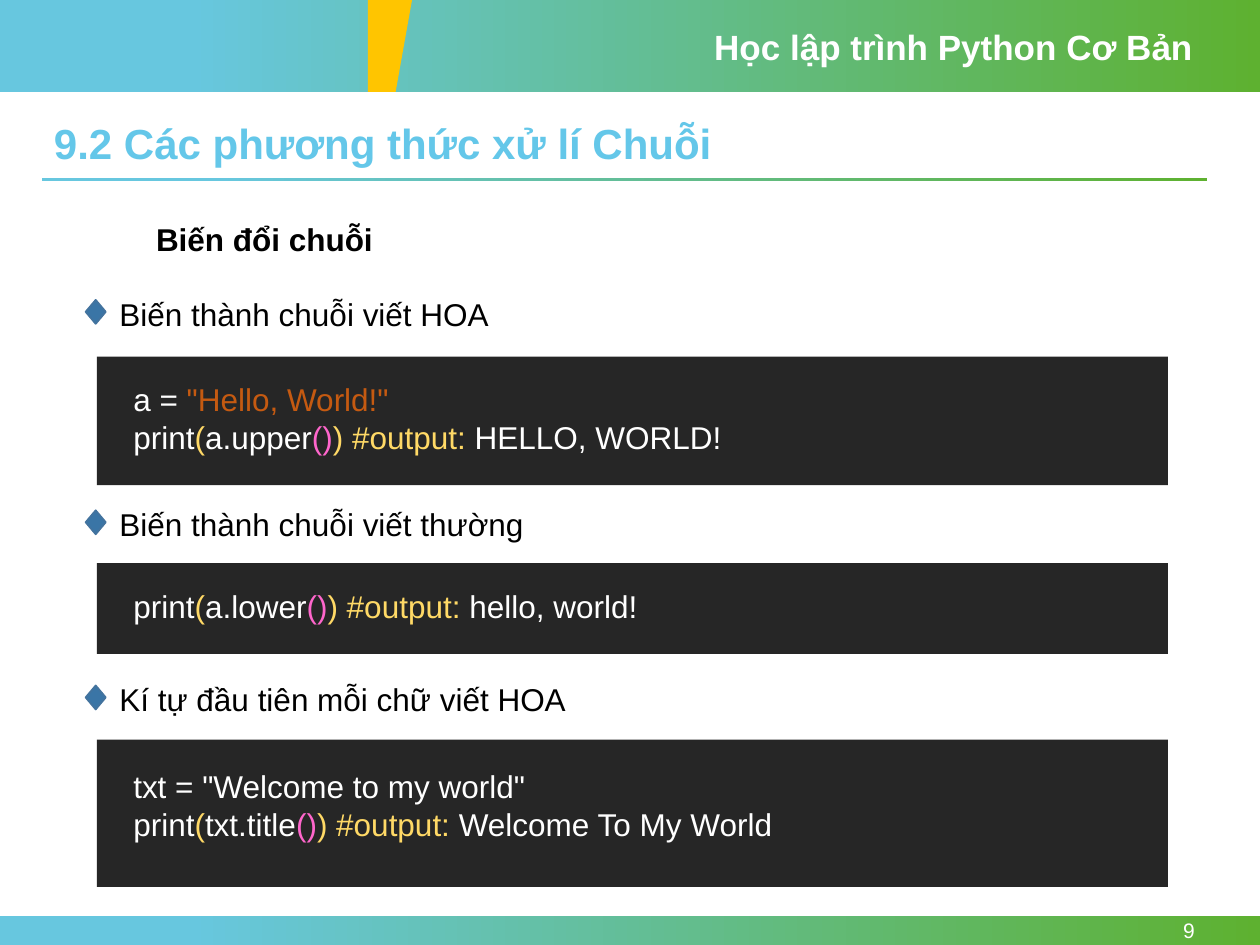
"""Build the slide on Python string conversion methods."""
import dataclasses

import pptx
import pptx.dml.color
import pptx.enum.shapes
import pptx.enum.text
import pptx.util

Inches = pptx.util.Inches
Shapes = pptx.enum.shapes.MSO_SHAPE
Align = pptx.enum.text.PP_ALIGN
Anchor = pptx.enum.text.MSO_ANCHOR


@dataclasses.dataclass(frozen=True)
class Theme:
    """Colours, font and type sizes of the deck."""
    font: str = "Arial"
    white: str = "FFFFFF"
    black: str = "000000"
    sky: str = "67C7DF"
    green: str = "5EB130"
    yellow: str = "FFC500"
    title: str = "64C7E9"
    panel: str = "262626"
    diamond: str = "3A75A6"
    diamond_edge: str = "43739E"
    string: str = "C55A11"
    bracket: str = "FFD966"
    call: str = "FF66CC"
    title_size: int = 24
    header_size: int = 20
    body_size: int = 18
    number_size: int = 12


def rgb(value):
    """Turn a hex string into a colour."""
    return pptx.dml.color.RGBColor.from_string(value)


class SlideBuilder:
    """Draw themed elements on one slide."""

    def __init__(self, slide, theme):
        """Keep the slide and its theme."""
        self.slide = slide
        self.theme = theme

    def shape(self, kind, left, top, width, height, fill, line=None):
        """Add a preset shape with a solid fill."""
        shape = self.slide.shapes.add_shape(
            kind, Inches(left), Inches(top), Inches(width), Inches(height))
        shape.shadow.inherit = False
        shape.fill.solid()
        shape.fill.fore_color.rgb = rgb(fill)
        if line:
            shape.line.color.rgb = rgb(line)
            shape.line.width = pptx.util.Pt(1)
        else:
            shape.line.fill.background()
        return shape

    def band(self, left, top, width, height):
        """Add a bar that fades from sky to green."""
        bar = self.shape(Shapes.RECTANGLE, left, top, width, height, self.theme.sky)
        bar.fill.gradient()
        bar.fill.gradient_angle = 0
        stops = ((0.15, self.theme.sky), (1, self.theme.green))
        for stop, (position, colour) in zip(bar.fill.gradient_stops, stops):
            stop.position = position
            stop.color.rgb = rgb(colour)

    def ribbon(self, points):
        """Add the yellow outline in the header."""
        start, *rest = [(Inches(x), Inches(y)) for x, y in points]
        builder = self.slide.shapes.build_freeform(*start)
        builder.add_line_segments(rest, close=True)
        ribbon = builder.convert_to_shape()
        ribbon.shadow.inherit = False
        ribbon.fill.solid()
        ribbon.fill.fore_color.rgb = rgb(self.theme.yellow)
        ribbon.line.fill.background()

    def text(self, left, top, width, height, lines, size, colour=None,
             bold=False, align=Align.LEFT, anchor=Anchor.TOP):
        """Add a text box whose lines are lists of (words, colour) spans."""
        box = self.slide.shapes.add_textbox(
            Inches(left), Inches(top), Inches(width), Inches(height))
        frame = box.text_frame
        frame.word_wrap = True
        frame.vertical_anchor = anchor
        for index, line in enumerate(lines):
            para = frame.paragraphs[0] if index == 0 else frame.add_paragraph()
            para.alignment = align
            para.font.name = self.theme.font
            para.font.size = pptx.util.Pt(size)
            para.font.bold = bold
            if colour:
                para.font.color.rgb = rgb(colour)
            for words, span_colour in line:
                span = para.add_run()
                span.text = words
                if span_colour:
                    span.font.color.rgb = rgb(span_colour)
        return frame

    def label(self, left, top, width, height, words, size, colour, **style):
        """Add a text box with one line in one colour."""
        return self.text(left, top, width, height, [[(words, None)]], size, colour, **style)

    def topic(self, top, words):
        """Add a topic line with its diamond marker."""
        theme = self.theme
        self.shape(Shapes.FLOWCHART_DECISION, 0.68, top + 0.09, 0.16, 0.19,
                   theme.diamond, theme.diamond_edge)
        self.label(0.85, top, 8.57, 0.4, words, theme.body_size, theme.black)

    def code(self, top, height, text_top, lines):
        """Add a dark panel with coloured code."""
        self.shape(Shapes.RECTANGLE, 0.77, top, 8.5, height, self.theme.panel)
        self.text(0.96, text_top, 8.1, 0.1 + 0.3 * len(lines), lines, self.theme.body_size)

    def print_line(self, method, output):
        """Return the spans of a print call and its output."""
        theme = self.theme
        return [("print", theme.white), ("(", theme.bracket), (method, theme.white),
                ("()", theme.call), (") #output: ", theme.bracket), (output, theme.white)]


def main():
    """Build and save the deck."""
    deck = pptx.Presentation()
    deck.slide_width, deck.slide_height = Inches(10), Inches(7.5)
    theme = Theme()
    page = SlideBuilder(deck.slides.add_slide(deck.slide_layouts[6]), theme)

    for band in ((0, 0, 10, 0.73), (0, 7.27, 10, 0.23), (0.33, 1.41, 9.25, 0.03)):
        page.band(*band)
    page.ribbon([(2.92, 0), (3.27, 0), (3.14, 0.73), (2.92, 0.73)])
    page.label(5.57, 0.15, 4, 0.44, "Học lập trình Python Cơ Bản",
               theme.header_size, theme.white, bold=True)
    page.label(8.66, 7.27, 0.92, 0.23, "9", theme.number_size, theme.white,
               align=Align.RIGHT, anchor=Anchor.MIDDLE)
    title = page.label(0.33, 0.93, 9.25, 0.46, "9.2 Các phương thức xử lí Chuỗi",
                       theme.title_size, theme.title, bold=True)
    title.paragraphs[0].line_spacing = 0.9
    page.label(1.14, 1.7, 7.03, 0.4, "Biến đổi chuỗi",
               theme.body_size, theme.black, bold=True)

    sections = [
        (2.29, "Biến thành chuỗi viết HOA", 2.83, 1.02, 2.97,
         [[("a = ", theme.white), ('"Hello, World!"', theme.string)],
          page.print_line("a.upper", "HELLO, WORLD!")]),
        (3.96, "Biến thành chuỗi viết thường", 4.47, 0.72, 4.61,
         [page.print_line("a.lower", "hello, world!")]),
        (5.35, "Kí tự đầu tiên mỗi chữ viết HOA", 5.87, 1.17, 6.04,
         [[('txt = "Welcome to my world"', theme.white)],
          page.print_line("txt.title", "Welcome To My World")]),
    ]
    for topic_top, words, panel_top, panel_height, code_top, lines in sections:
        page.topic(topic_top, words)
        page.code(panel_top, panel_height, code_top, lines)

    deck.save("out.pptx")


if __name__ == "__main__":
    main()
